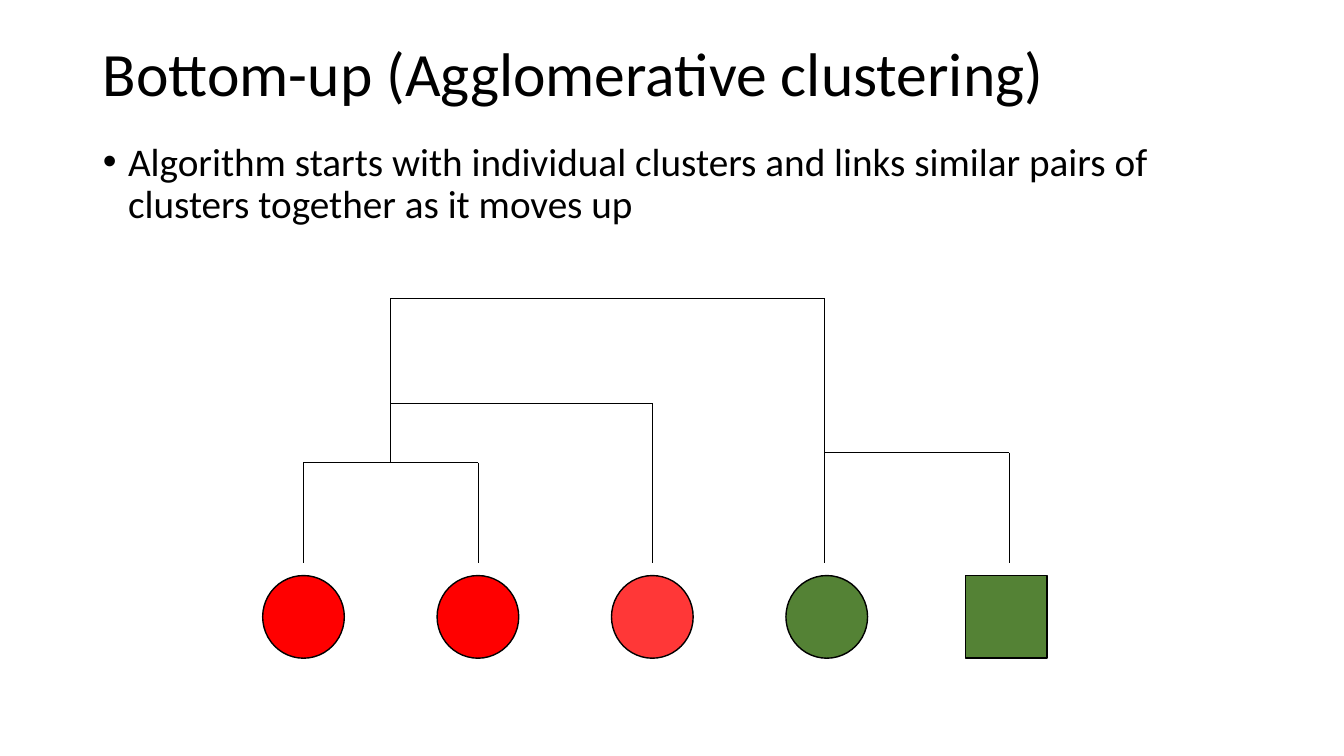
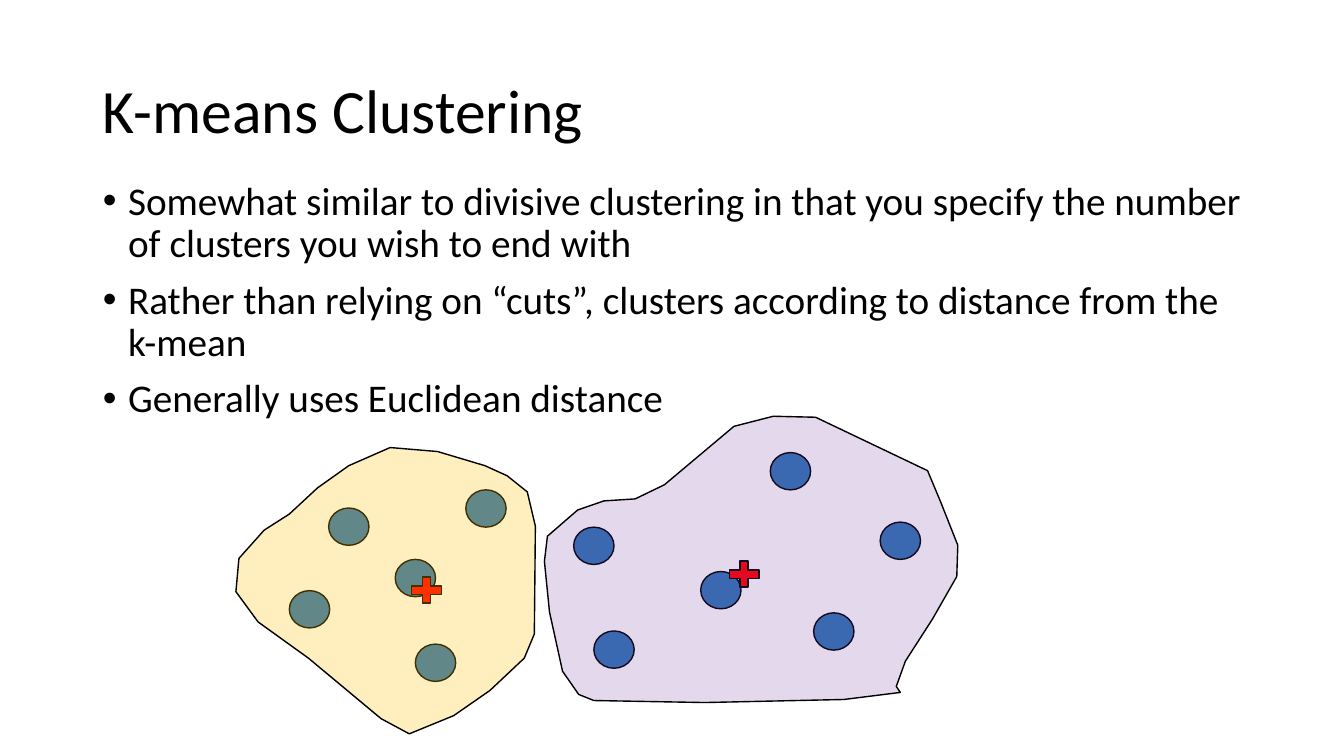
from lxml.etree import SubElement
from pptx import Presentation
from pptx.dml.color import RGBColor
from pptx.enum.shapes import MSO_CONNECTOR, MSO_SHAPE
from pptx.enum.text import MSO_ANCHOR, MSO_AUTO_SIZE, PP_ALIGN
from pptx.oxml.ns import qn
from pptx.util import Inches, Pt

FONT = "Calibri"
BLACK, RED, ROSE, GREEN = "000000", "FF0000", "FF3737", "548235"
BLUE, YELLOW, PURPLE = "2E75B6", "FFC000", "7030A0"
TEXT_LEFT, TEXT_WIDTH = 0.92, 11.5
TITLE_HEIGHT, BODY_HEIGHT = 1.45, 4.76

AGGLOMERATIVE = {
    "title": "Bottom-up (Agglomerative clustering)",
    "title_top": 0.03,
    "bullets": ["Algorithm starts with individual clusters and links similar pairs of "
                "clusters together as it moves up"],
    "body_top": 1.36,
}
K_MEANS = {
    "title": "K-means Clustering",
    "title_top": 0.4,
    "bullets": [
        "Somewhat similar to divisive clustering in that you specify the number of "
        "clusters you wish to end with",
        "Rather than relying on “cuts”, clusters according to distance from the k-mean",
        "Generally uses Euclidean distance",
    ],
    "body_top": 1.75,
}

LEAVES = [(MSO_SHAPE.OVAL, RED), (MSO_SHAPE.OVAL, RED), (MSO_SHAPE.OVAL, ROSE),
          (MSO_SHAPE.OVAL, GREEN), (MSO_SHAPE.RECTANGLE, GREEN)]
LEAF_CENTERS = [3.01, 4.74, 6.47, 8.2, 9.98]
LEAF_TOP, LEAF_SIZE = 5.71, (0.81, 0.82)
LEAF_END = 5.59
# Each merge: height of its bar, then (x, lower end) of its left and right legs
MERGES = [
    (4.59, (3.01, LEAF_END), (4.74, LEAF_END)),
    (4.0, (3.87, 4.59), (6.47, LEAF_END)),
    (4.49, (8.18, LEAF_END), (10.01, LEAF_END)),
    (2.96, (3.87, 4.0), (8.18, 4.49)),
]

POINT_SIZE = (0.4, 0.37)
MEAN_SIZE = (0.4, 0.35)
CLUSTERS = [
    {
        "color": YELLOW, "opacity": 25, "mean": (4.03, 5.68),
        "points": [(3.26, 5.04), (3.92, 5.55), (2.87, 5.86), (4.12, 6.39), (4.62, 4.86)],
        "outline": [
            (2.34, 5.87), (2.37, 5.54), (2.62, 5.26), (2.87, 5.1), (3.15, 4.84),
            (3.46, 4.62), (3.87, 4.44), (4.34, 4.48), (4.81, 4.62), (5.03, 4.72),
            (5.23, 4.88), (5.31, 5.22), (5.3, 6.29), (5.2, 6.53), (4.86, 6.85),
            (4.5, 7.1), (4.06, 7.28), (3.78, 7.13), (3.06, 6.53), (2.56, 6.17),
        ],
    },
    {
        "color": PURPLE, "opacity": 19, "mean": (7.18, 5.52),
        "points": [(5.89, 6.26), (5.69, 5.23), (6.95, 5.67), (7.64, 4.49), (8.07, 6.08),
                   (8.73, 5.18)],
        "outline": [
            (8.93, 6.87), (8.37, 6.94), (6.99, 6.97), (5.89, 6.95), (5.74, 6.89),
            (5.58, 6.66), (5.45, 6.07), (5.4, 5.57), (5.43, 5.32), (5.73, 5.06),
            (5.99, 4.97), (6.3, 4.95), (6.59, 4.81), (7.28, 4.23), (7.67, 4.13),
            (8.09, 4.14), (9.2, 4.67), (9.33, 4.98), (9.5, 5.41), (9.49, 5.72),
            (9.25, 6.14), (8.98, 6.56), (8.89, 6.81),
        ],
    },
]


def rgb(value):
    return RGBColor.from_string(value)


def place(shape, left, top, width, height):
    shape.left, shape.top = Inches(left), Inches(top)
    shape.width, shape.height = Inches(width), Inches(height)


def set_text_style(paragraph, size):
    paragraph.alignment = PP_ALIGN.LEFT
    paragraph.line_spacing = 0.9
    for run in paragraph.runs:
        run.font.name, run.font.size = FONT, Pt(size)
        run.font.color.rgb = rgb(BLACK)


def add_text_slide(presentation, content):
    slide = presentation.slides.add_slide(presentation.slide_layouts[1])
    title, body = slide.placeholders
    place(title, TEXT_LEFT, content["title_top"], TEXT_WIDTH, TITLE_HEIGHT)
    title.text_frame.text = content["title"]
    title.text_frame.vertical_anchor = MSO_ANCHOR.MIDDLE
    set_text_style(title.text_frame.paragraphs[0], 44)

    place(body, TEXT_LEFT, content["body_top"], TEXT_WIDTH, BODY_HEIGHT)
    body.text_frame.text = "\n".join(content["bullets"])
    for paragraph in body.text_frame.paragraphs:
        set_text_style(paragraph, 28)
        paragraph.space_before = Pt(10)
        properties = paragraph._p.get_or_add_pPr()
        properties.set("marL", str(Inches(0.25)))
        properties.set("indent", str(Inches(-0.25)))
    for shape in (title, body):
        shape.text_frame.auto_size = MSO_AUTO_SIZE.NONE
    return slide


def paint(shape, color):
    shape.shadow.inherit = False
    shape.fill.solid()
    shape.fill.fore_color.rgb = rgb(color)
    shape.line.color.rgb = rgb(BLACK)
    shape.line.width = Pt(1)


def add_mark(slide, kind, position, size, color):
    box = [Inches(value) for value in (*position, *size)]
    paint(slide.shapes.add_shape(kind, *box), color)


def add_line(slide, start, end):
    ends = [Inches(value) for value in (*start, *end)]
    connector = slide.shapes.add_connector(MSO_CONNECTOR.STRAIGHT, *ends)
    connector.line.color.rgb = rgb(BLACK)
    connector.line.width = Pt(0.5)
    SubElement(connector._element.spPr, qn("a:effectLst"))


def add_region(slide, outline, color, opacity):
    points = [(Inches(x), Inches(y)) for x, y in outline]
    builder = slide.shapes.build_freeform(*points[0])
    builder.add_line_segments(points[1:], close=True)
    region = builder.convert_to_shape()
    paint(region, color)
    fill_color = region._element.spPr.find(qn("a:solidFill")).find(qn("a:srgbClr"))
    SubElement(fill_color, qn("a:alpha")).set("val", str(opacity * 1000))


def add_dendrogram(slide):
    for center, (kind, color) in zip(LEAF_CENTERS, LEAVES):
        position = (center - LEAF_SIZE[0] / 2, LEAF_TOP)
        add_mark(slide, kind, position, LEAF_SIZE, color)
    for height, left_leg, right_leg in MERGES:
        add_line(slide, (left_leg[0], height), (right_leg[0], height))
        for x, bottom in (left_leg, right_leg):
            add_line(slide, (x, height), (x, bottom))


def add_clusters(slide):
    for cluster in CLUSTERS:
        for point in cluster["points"]:
            add_mark(slide, MSO_SHAPE.OVAL, point, POINT_SIZE, BLUE)
        add_mark(slide, MSO_SHAPE.MATH_PLUS, cluster["mean"], MEAN_SIZE, RED)
        add_region(slide, cluster["outline"], cluster["color"], cluster["opacity"])


def main():
    presentation = Presentation()
    presentation.slide_width, presentation.slide_height = Inches(13.33), Inches(7.5)
    add_dendrogram(add_text_slide(presentation, AGGLOMERATIVE))
    add_clusters(add_text_slide(presentation, K_MEANS))
    presentation.save("out.pptx")


if __name__ == "__main__":
    main()
